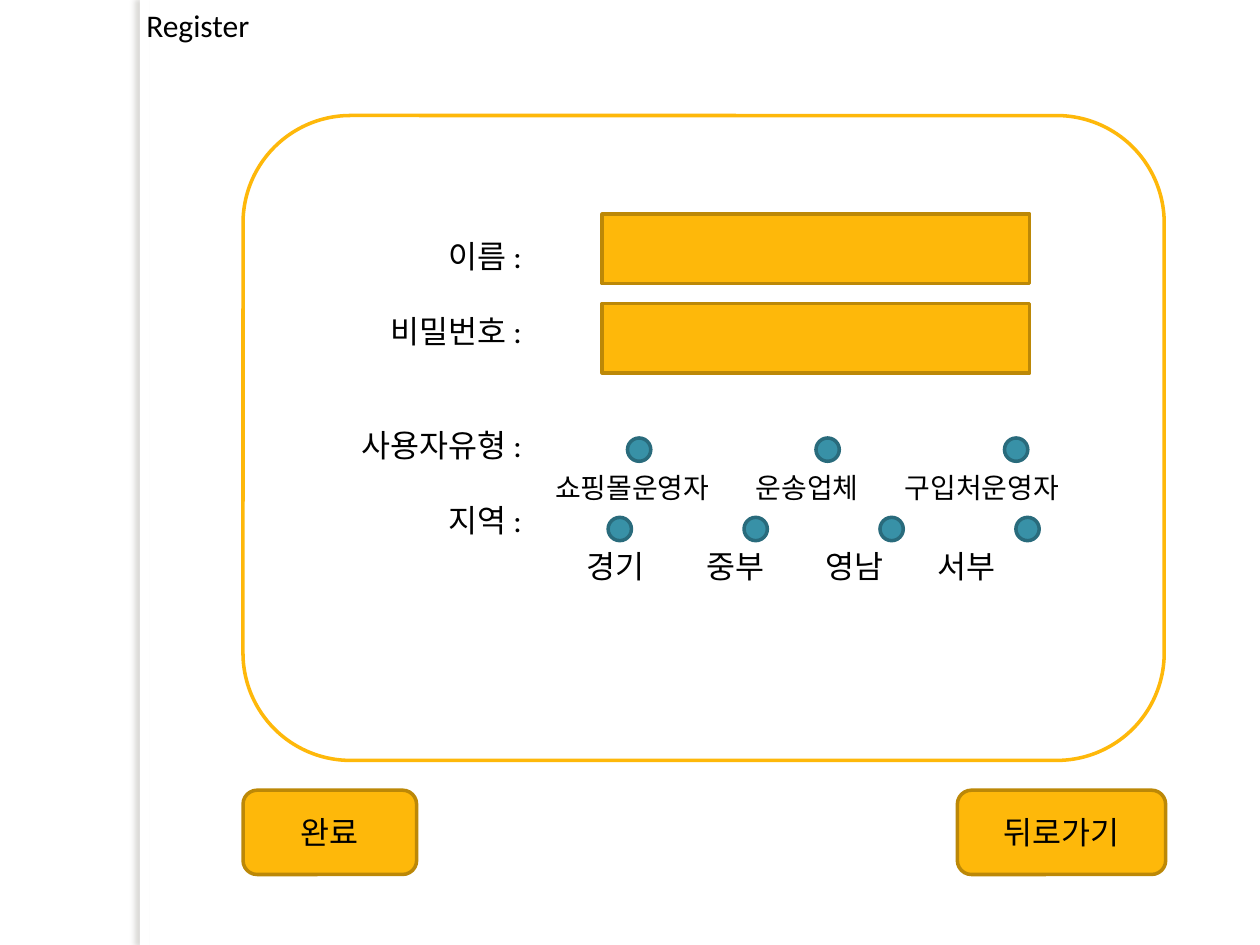
from dataclasses import dataclass

from lxml import etree
from pptx import Presentation
from pptx.dml.color import RGBColor
from pptx.enum.shapes import MSO_SHAPE
from pptx.enum.text import MSO_ANCHOR, PP_ALIGN
from pptx.oxml.ns import qn
from pptx.util import Cm, Pt

RECT = MSO_SHAPE.RECTANGLE
ROUNDED = MSO_SHAPE.ROUNDED_RECTANGLE
DOT = MSO_SHAPE.FLOWCHART_CONNECTOR
LEFT, CENTER, RIGHT = PP_ALIGN.LEFT, PP_ALIGN.CENTER, PP_ALIGN.RIGHT
TOP, MIDDLE = MSO_ANCHOR.TOP, MSO_ANCHOR.MIDDLE


@dataclass(frozen=True)
class Theme:
    paper: str = "FFFFFF"
    ink: str = "000000"
    amber: str = "FEB80A"
    amber_edge: str = "BC8807"
    teal: str = "3891A7"
    teal_edge: str = "296B7C"
    shade: str = "736F63"
    font: str = "Calibri"
    region_font: str = "Arial"
    body: int = 18
    small: int = 16
    edge_width: int = 2


THEME = Theme()


def write(frame, lines, size=THEME.body, font=THEME.font, align=LEFT,
          anchor=TOP, gaps=None):
    """Fill a text frame; gaps are the points of space before each line."""
    frame.word_wrap = True
    frame.vertical_anchor = anchor
    for index, line in enumerate(lines):
        paragraph = frame.paragraphs[0] if index == 0 else frame.add_paragraph()
        paragraph.alignment = align
        if gaps:
            paragraph.space_before = Pt(gaps[index])
        run = paragraph.add_run()
        run.text = line
        run.font.size = Pt(size)
        run.font.name = font
        run.font.color.rgb = RGBColor.from_string(THEME.ink)


def add_label(slide, x, y, width, height, lines, **text_format):
    box = slide.shapes.add_textbox(Cm(x), Cm(y), Cm(width), Cm(height))
    write(box.text_frame, lines, **text_format)


def add_block(slide, kind, x, y, width, height, fill, edge=None):
    block = slide.shapes.add_shape(kind, Cm(x), Cm(y), Cm(width), Cm(height))
    block.shadow.inherit = False
    block.fill.solid()
    block.fill.fore_color.rgb = RGBColor.from_string(fill)
    if edge:
        block.line.color.rgb = RGBColor.from_string(edge)
        block.line.width = Pt(THEME.edge_width)
    else:
        block.line.fill.background()
    return block


def add_side_shadow(block):
    """Cast a soft shadow to the left of the block."""
    effects = block.element.spPr.find(qn("a:effectLst"))
    shadow = etree.SubElement(effects, qn("a:outerShdw"), blurRad=str(Pt(3)),
                              dist=str(Pt(3)), dir="10800000", rotWithShape="0")
    color = etree.SubElement(shadow, qn("a:srgbClr"), val=THEME.shade)
    etree.SubElement(color, qn("a:alpha"), val="25000")


def add_button(slide, x, width, caption):
    button = add_block(slide, ROUNDED, x, 15.93, width, 1.7,
                       THEME.amber, THEME.amber_edge)
    write(button.text_frame, [caption], align=CENTER, anchor=MIDDLE)


def add_choices(slide, first_dot, step, dot_y, label_y, choices, **text_format):
    """Place evenly spaced radio dots with a caption for each below."""
    for index, (caption, label_x) in enumerate(choices):
        add_block(slide, DOT, first_dot + index * step, dot_y, 0.47, 0.47,
                  THEME.teal, THEME.teal_edge)
        add_label(slide, label_x, label_y, 4, 1, [caption], **text_format)


def main():
    deck = Presentation()
    deck.slide_width, deck.slide_height = Cm(25.4), Cm(19.05)
    slide = deck.slides.add_slide(deck.slide_layouts[6])

    # Page edge and title
    page_edge = add_block(slide, RECT, 2.82, 0, 0.2, 19.05, THEME.paper)
    add_side_shadow(page_edge)
    add_label(slide, 2.7, 0, 6.4, 1.02, ["Register"])

    # Form card with its field names
    add_block(slide, ROUNDED, 4.9, 2.33, 18.57, 13, THEME.paper, THEME.amber)
    add_label(slide, 6.25, 4.65, 4.52, 6.4,
              ["이름 :", "비밀번호 :", "사용자유형 :", "지역 :"],
              align=RIGHT, gaps=[0, 21.6, 43.2, 21.6])

    # Input fields for name and password
    for field_y in (4.32, 6.12):
        add_block(slide, RECT, 12.14, field_y, 8.62, 1.4,
                  THEME.amber, THEME.amber_edge)

    # User types and regions
    user_types = [("쇼핑몰운영자", 10.94), ("운송업체", 14.99), ("구입처운영자", 17.99)]
    add_choices(slide, 12.65, 3.8, 8.83, 9.37, user_types, size=THEME.small)
    regions = [("경기", 11.58), ("중부", 13.99), ("영남", 16.4), ("서부", 18.65)]
    add_choices(slide, 12.26, 2.74, 10.43, 10.9, regions, font=THEME.region_font)

    # Buttons
    add_button(slide, 4.9, 3.5, "완료")
    add_button(slide, 19.3, 4.2, "뒤로가기")

    deck.save("out.pptx")


if __name__ == "__main__":
    main()
